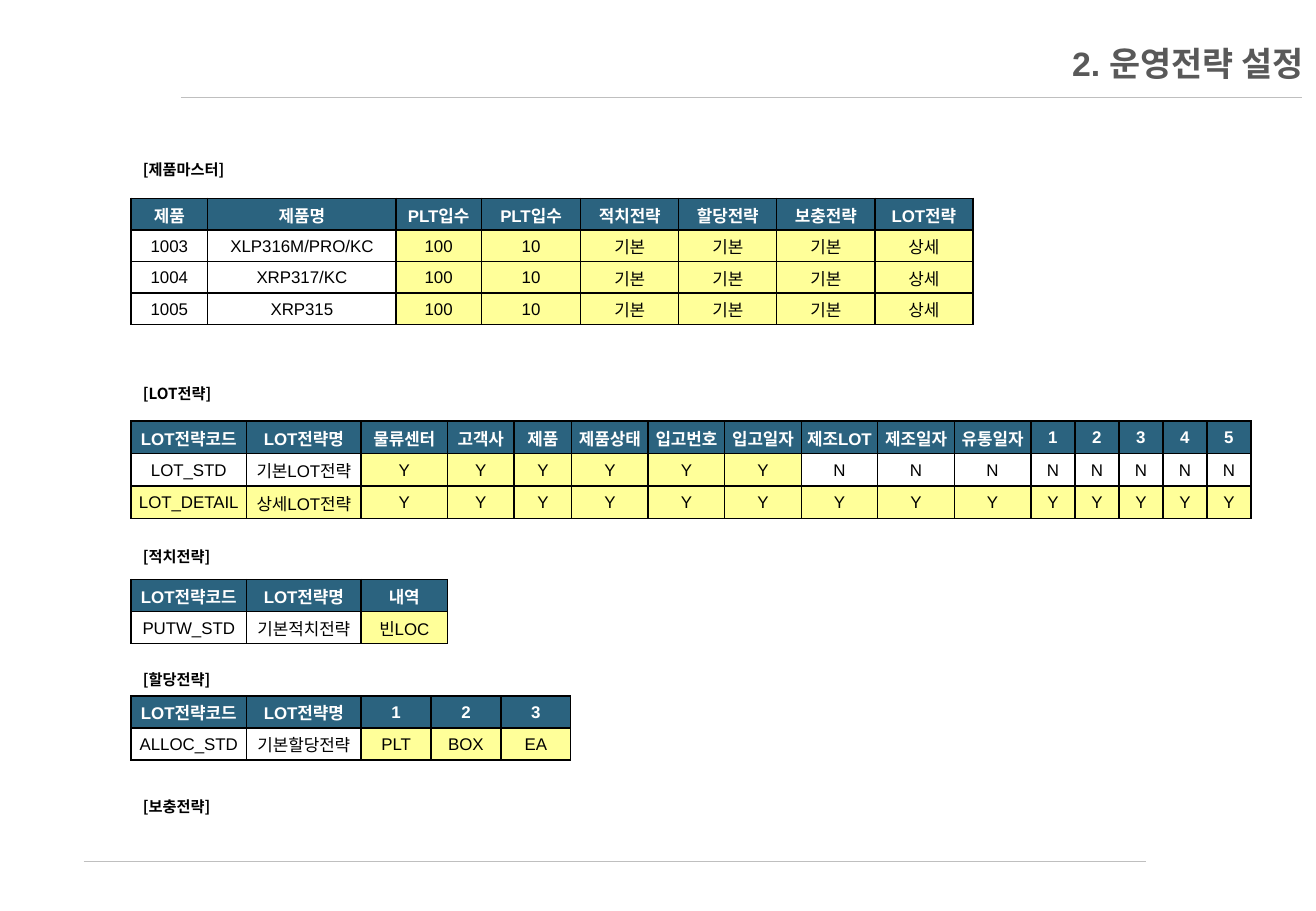
from lxml import etree
from pptx import Presentation
from pptx import util as u
from pptx.dml.color import RGBColor
from pptx.enum import dml, shapes, text
from pptx.oxml.ns import qn

COLORS = {
    "title": "595959",
    "rule": "BFBFBF",
    "header": "2B637F",
    "highlight": "FFFF99",
    "border": "000000",
    "ink": "000000",
    "white": "FFFFFF",
}
LATIN, KOREAN = "Arial", "Noto Sans CJK KR"
LEFT = 2.74
CODE_COLUMNS = [2.41, 2.4]
CODE_HEADERS = ["LOT전략코드", "LOT전략명"]


def color(name):
    return RGBColor.from_string(COLORS[name])


class StrategySlide:
    def __init__(self, deck):
        self.slide = deck.slides.add_slide(deck.slide_layouts[6])

    def add_words(self, frame, words, size, ink="ink", bold=False, font=LATIN, align=None):
        paragraph = frame.paragraphs[0]
        paragraph.alignment = align
        run = paragraph.add_run()
        run.text = words
        run.font.size = u.Pt(size)
        run.font.bold = bold
        run.font.color.rgb = color(ink)
        run.font.name = font
        etree.SubElement(run._r.get_or_add_rPr(), qn("a:ea"), typeface=KOREAN)

    def rule(self, x1, x2, y):
        line = self.slide.shapes.add_connector(
            shapes.MSO_CONNECTOR.STRAIGHT, u.Cm(x1), u.Cm(y), u.Cm(x2), u.Cm(y))
        line.line.color.rgb = color("rule")
        line.line.width = u.Pt(0.25)
        line.line.dash_style = dml.MSO_LINE.ROUND_DOT
        etree.SubElement(line._element.spPr, qn("a:effectLst"))

    def box(self, left, top, width, height):
        frame = self.slide.shapes.add_textbox(
            u.Cm(left), u.Cm(top), u.Cm(width), u.Cm(height)).text_frame
        frame.word_wrap = True
        return frame

    def title(self, words):
        frame = self.box(LEFT, 0.74, 24.77, 1.14)
        frame.vertical_anchor = text.MSO_ANCHOR.MIDDLE
        self.add_words(frame, words, 20, "title", True, align=text.PP_ALIGN.RIGHT)

    def label(self, words, top):
        self.add_words(self.box(LEFT, top, 3.2, 0.64), words, 9, bold=True, font=KOREAN)

    def border(self, cell):
        properties = cell._tc.get_or_add_tcPr()
        for side in ("lnL", "lnR", "lnT", "lnB"):
            line = etree.SubElement(properties, qn(f"a:{side}"), w=str(u.Pt(1)))
            fill = etree.SubElement(line, qn("a:solidFill"))
            etree.SubElement(fill, qn("a:srgbClr"), val=COLORS["border"])

    def cell(self, cell, words, fill, is_header):
        cell.margin_left = cell.margin_right = cell.margin_top = u.Cm(0.03)
        cell.margin_bottom = 0
        cell.vertical_anchor = text.MSO_ANCHOR.MIDDLE
        self.border(cell)
        if fill:
            cell.fill.solid()
            cell.fill.fore_color.rgb = color(fill)
        else:
            cell.fill.background()
        self.add_words(cell.text_frame, words, 10, "white" if is_header else "ink",
                       is_header, align=text.PP_ALIGN.CENTER)

    def table(self, top, row_height, widths, rows, highlights):
        """Highlights give, for each row under the header, its yellow columns."""
        table = self.slide.shapes.add_table(
            len(rows), len(widths), u.Cm(LEFT), u.Cm(top),
            u.Cm(sum(widths)), u.Cm(row_height * len(rows))).table
        table.horz_banding = False
        for column, width in zip(table.columns, widths):
            column.width = u.Cm(width)
        for r, row in enumerate(rows):
            table.rows[r].height = u.Cm(row_height)
            for c, words in enumerate(row):
                if r == 0:
                    fill = "header"
                else:
                    fill = "highlight" if c in highlights[r - 1] else None
                self.cell(table.cell(r, c), words, fill, r == 0)


def main():
    deck = Presentation()
    deck.slide_width, deck.slide_height = u.Cm(27.51), u.Cm(19.05)
    page = StrategySlide(deck)

    page.rule(3.78, 27.2, 2.03)
    page.rule(1.75, 23.95, 18.01)
    page.title("2. 운영전략 설정")

    page.label("[제품마스터]", 3.23)
    settings = ["100", "10", "기본", "기본", "기본", "상세"]
    products = [("1003", "XLP316M/PRO/KC"), ("1004", "XRP317/KC"), ("1005", "XRP315")]
    page.table(
        4.15, 0.66, [1.6, 3.94, 1.78, 2.08] + [2.05] * 4,
        [["제품", "제품명", "PLT입수", "PLT입수",
          "적치전략", "할당전략", "보충전략", "LOT전략"]]
        + [[*product, *settings] for product in products],
        [range(2, 8)] * len(products))

    page.label("[LOT전략]", 7.92)
    attributes = ["물류센터", "고객사", "제품", "제품상태", "입고번호", "입고일자",
                  "제조LOT", "제조일자", "유통일자", "1", "2", "3", "4", "5"]
    page.table(
        8.8, 0.68, CODE_COLUMNS + [1.8, 1.4, 1.2] + [1.6] * 6 + [0.92] * 5,
        [CODE_HEADERS + attributes,
         ["LOT_STD", "기본LOT전략"] + ["Y"] * 6 + ["N"] * 8,
         ["LOT_DETAIL", "상세LOT전략"] + ["Y"] * 14],
        [range(2, 8), range(16)])

    page.label("[적치전략]", 11.33)
    page.table(
        12.12, 0.67, CODE_COLUMNS + [1.8],
        [CODE_HEADERS + ["내역"], ["PUTW_STD", "기본적치전략", "빈LOC"]],
        [range(2, 3)])

    page.label("[할당전략]", 13.89)
    page.table(
        14.55, 0.67, CODE_COLUMNS + [1.46] * 3,
        [CODE_HEADERS + ["1", "2", "3"],
         ["ALLOC_STD", "기본할당전략", "PLT", "BOX", "EA"]],
        [range(2, 5)])

    page.label("[보충전략]", 16.54)
    deck.save("out.pptx")


if __name__ == "__main__":
    main()
